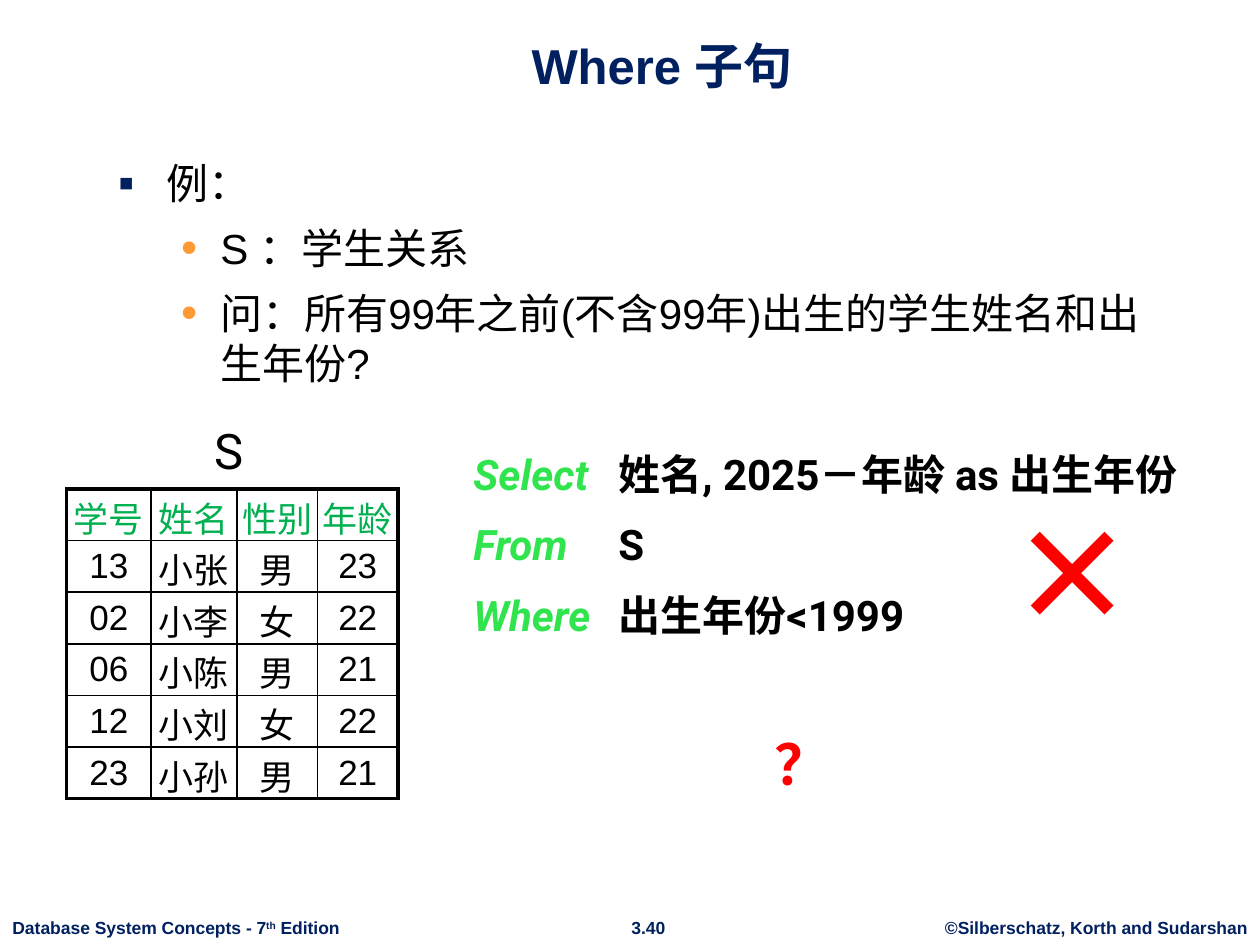
import pptx
import pptx.dml.color
import pptx.enum.text
import pptx.oxml
import pptx.oxml.ns
import pptx.util
from dataclasses import dataclass

Inches = pptx.util.Inches
Pt = pptx.util.Pt
Align = pptx.enum.text.PP_ALIGN
Anchor = pptx.enum.text.MSO_ANCHOR
AutoSize = pptx.enum.text.MSO_AUTO_SIZE
NS = pptx.oxml.ns.nsdecls("a")


@dataclass(frozen=True)
class Theme:
    navy: str = "002060"
    black: str = "000000"
    white: str = "FFFFFF"
    orange: str = "FF9933"
    keyword: str = "30E44E"
    header: str = "00B050"
    red: str = "FF0000"
    sans: str = "Arial"
    code: str = "Roboto"
    symbol: str = "Noto Sans CJK SC"
    footer_size: int = 10
    cell_size: int = 20
    body_size: int = 24
    title_size: int = 28
    question_size: int = 32
    cross_size: int = 72
    inner_line: float = 1
    outer_line: float = 2.25


class SlideBuilder:
    def __init__(self, slide, theme):
        self.slide = slide
        self.theme = theme

    def style(self, run, size, color, font=None, bold=False, italic=False):
        run.font.name = font or self.theme.sans
        run.font.size = Pt(size)
        run.font.bold = bold
        run.font.italic = italic
        run.font.color.rgb = pptx.dml.color.RGBColor.from_string(color)

    def frame(self, left, top, width, height, wrap=True, grow=True, anchor=Anchor.TOP):
        box = self.slide.shapes.add_textbox(
            Inches(left), Inches(top), Inches(width), Inches(height))
        frame = box.text_frame
        frame.word_wrap = wrap
        frame.auto_size = AutoSize.SHAPE_TO_FIT_TEXT if grow else AutoSize.NONE
        frame.vertical_anchor = anchor
        return frame

    def label(self, place, text, size, color, font=None, bold=True,
              align=Align.CENTER, spacing=None, **layout):
        frame = self.frame(*place, **layout)
        frame.text = text
        paragraph = frame.paragraphs[0]
        paragraph.alignment = align
        paragraph.line_spacing = spacing
        self.style(paragraph.runs[0], size, color, font, bold)
        return frame

    def footer(self, place, text, align=Align.CENTER):
        return self.label(place, text, self.theme.footer_size, self.theme.navy,
                          align=align, wrap=False)

    def bullets(self, place, items):
        levels = [("▪", self.theme.navy, 0.38, 0.38), ("•", self.theme.orange, 0.81, 0.31)]
        frame = self.frame(*place, grow=False)
        frame.text = "\n".join(text for level, text in items)
        for index, (paragraph, (level, text)) in enumerate(zip(frame.paragraphs, items)):
            mark, color, margin, hanging = levels[level]
            paragraph.level = level
            paragraph.space_before = Pt(8.4 if index else 0)
            properties = paragraph._p.get_or_add_pPr()
            properties.set("marL", str(Inches(margin)))
            properties.set("indent", str(-Inches(hanging)))
            for xml in (f'<a:buClr {NS}><a:srgbClr val="{color}"/></a:buClr>',
                        f'<a:buSzPct {NS} val="110000"/>',
                        f'<a:buFont {NS} typeface="{self.theme.sans}"/>',
                        f'<a:buChar {NS} char="{mark}"/>'):
                properties.append(pptx.oxml.parse_xml(xml))
            self.style(paragraph.runs[0], self.theme.body_size, self.theme.black)

    def query(self, place, clauses, tab):
        frame = self.frame(*place)
        frame.text = "\n".join(keyword for keyword, rest in clauses)
        for index, (paragraph, (keyword, rest)) in enumerate(zip(frame.paragraphs, clauses)):
            paragraph.line_spacing = 1.15
            paragraph.space_before = Pt(7.2 if index else 0)
            paragraph._p.get_or_add_pPr().append(pptx.oxml.parse_xml(
                f'<a:tabLst {NS}><a:tab pos="{Inches(tab)}" algn="l"/></a:tabLst>'))
            self.style(paragraph.runs[0], self.theme.body_size, self.theme.keyword,
                       self.theme.code, bold=True, italic=True)
            expression = paragraph.add_run()
            expression.text = "\t" + rest
            self.style(expression, self.theme.body_size, self.theme.black,
                       self.theme.code, bold=True)

    def borders(self, cell, outer_edges):
        properties = cell._tc.get_or_add_tcPr()
        for edge in "LRTB":
            line = self.theme.outer_line if edge in outer_edges else self.theme.inner_line
            properties.append(pptx.oxml.parse_xml(
                f'<a:ln{edge} {NS} w="{Pt(line)}"><a:solidFill>'
                f'<a:srgbClr val="{self.theme.black}"/></a:solidFill></a:ln{edge}>'))

    def table(self, left, top, widths, row_height, rows):
        table = self.slide.shapes.add_table(
            len(rows), len(widths), Inches(left), Inches(top),
            Inches(sum(widths)), Inches(row_height * len(rows))).table
        table.horz_banding = False
        for column, width in zip(table.columns, widths):
            column.width = Inches(width)
        for r, values in enumerate(rows):
            for c, value in enumerate(values):
                cell = table.cell(r, c)
                cell.text = value
                cell.vertical_anchor = Anchor.MIDDLE
                cell.margin_left = cell.margin_right = 0
                cell.margin_top = cell.margin_bottom = Inches(0.02)
                edges = {"L": c == 0, "R": c == len(widths) - 1,
                         "T": r == 0, "B": r == len(rows) - 1}
                self.borders(cell, [edge for edge, outer in edges.items() if outer])
                if r == 0:
                    cell.fill.solid()
                    cell.fill.fore_color.rgb = pptx.dml.color.RGBColor.from_string(
                        self.theme.white)
                else:
                    cell.fill.background()
                paragraph = cell.text_frame.paragraphs[0]
                paragraph.alignment = Align.CENTER
                self.style(paragraph.runs[0], self.theme.cell_size,
                           self.theme.black if r else self.theme.header)


def main():
    deck = pptx.Presentation()
    deck.slide_width, deck.slide_height = Inches(10), Inches(7.5)
    theme = Theme()
    page = SlideBuilder(deck.slides.add_slide(deck.slide_layouts[6]), theme)

    page.footer((7.4, 7.23, 2.6, 0.27), "©Silberschatz, Korth and Sudarshan")
    page.footer((4.9, 7.23, 0.49, 0.27), "3.40")
    book = page.footer((0, 7.23, 2.81, 0.27), "Database System Concepts - 7", Align.LEFT)
    for text, baseline in (("th", 30000), (" Edition", 0)):
        part = book.paragraphs[0].add_run()
        part.text = text
        page.style(part, theme.footer_size, theme.navy, bold=True)
        part._r.get_or_add_rPr().set("baseline", str(baseline))

    page.label((0.84, 0.13, 8.83, 0.67), "Where 子句", theme.title_size, theme.navy,
               grow=False, anchor=Anchor.BOTTOM)
    page.bullets((0.84, 1.2, 8.43, 5.36), [
        (0, "例："),
        (1, "S ：学生关系"),
        (1, "问：所有99年之前(不含99年)出生的学生姓名和出生年份?"),
    ])
    page.label((1.6, 3.29, 0.42, 0.57), "S", theme.title_size, theme.black, theme.code,
               bold=False, align=Align.LEFT, wrap=False)
    page.query((3.66, 3.45, 6.07, 1.73), [
        ("Select", "姓名, 2025－年龄 as 出生年份"),
        ("From", "S"),
        ("Where", "出生年份<1999"),
    ], tab=1.15)
    page.table(0.53, 3.88, [0.67, 0.68, 0.64, 0.64], 0.41, [
        ("学号", "姓名", "性别", "年龄"),
        ("13", "小张", "男", "23"),
        ("02", "小李", "女", "22"),
        ("06", "小陈", "男", "21"),
        ("12", "小刘", "女", "22"),
        ("23", "小孙", "男", "21"),
    ])
    cross = page.label((8.01, 3.88, 0.75, 1.3), "×", theme.cross_size, theme.red,
                       theme.symbol, align=Align.LEFT)
    cross.margin_left = cross.margin_right = 0
    page.label((6.04, 5.66, 0.65, 0.65), "？", theme.question_size, theme.red, theme.code,
               spacing=1.15, wrap=False)

    deck.save("out.pptx")


if __name__ == "__main__":
    main()
